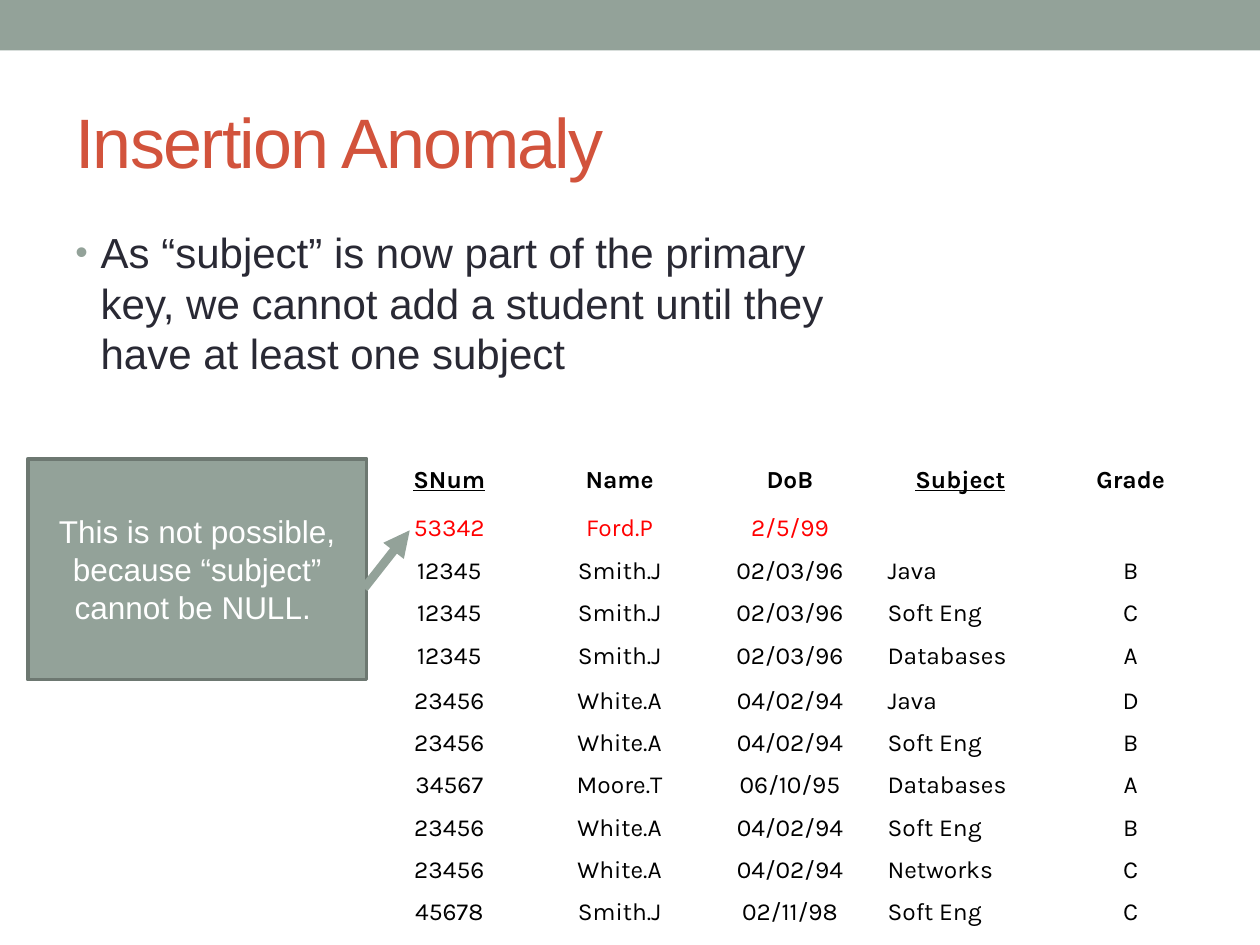
from dataclasses import dataclass

from lxml.etree import SubElement
from pptx import Presentation
from pptx.dml.color import RGBColor
from pptx.enum.shapes import MSO_CONNECTOR as Connector, MSO_SHAPE as Shape
from pptx.enum.text import MSO_ANCHOR as Anchor, PP_ALIGN as Align
from pptx.oxml.ns import qn
from pptx.util import Cm, Pt


@dataclass(frozen=True)
class Theme:
    sage: str = "93A299"
    sage_dark: str = "6D7871"
    title: str = "D2533C"
    body: str = "292934"
    cell: str = "000000"
    alert: str = "FF0000"
    white: str = "FFFFFF"
    text_font: str = "Arial"
    table_font: str = "Karla"
    title_size: float = 40
    body_size: float = 24
    note_size: float = 18
    cell_size: float = 14


THEME = Theme()

HEADERS = ["SNum", "Name", "DoB", "Subject", "Grade"]
KEYS = {"SNum", "Subject"}
REJECTED = ["53342", "Ford.P", "2/5/99", "", ""]
STUDENTS = [
    ["12345", "Smith.J", "02/03/96", "Java", "B"],
    ["12345", "Smith.J", "02/03/96", "Soft Eng", "C"],
    ["12345", "Smith.J", "02/03/96", "Databases", "A"],
    ["23456", "White.A", "04/02/94", "Java", "D"],
    ["23456", "White.A", "04/02/94", "Soft Eng", "B"],
    ["34567", "Moore.T", "06/10/95", "Databases", "A"],
    ["23456", "White.A", "04/02/94", "Soft Eng", "B"],
    ["23456", "White.A", "04/02/94", "Networks", "C"],
    ["45678", "Smith.J", "02/11/98", "Soft Eng", "C"],
]
ROW_HEIGHT = 0.84
TALL_ROWS = {0: 0.97, 1: 0.87, 4: 0.92, 10: 0.87}


def color(code):
    return RGBColor.from_string(code)


def add_span(para, text, size, code, font=THEME.text_font, bold=False, underline=False):
    span = para.add_run()
    span.text = text
    span.font.name = font
    span.font.size = Pt(size)
    span.font.color.rgb = color(code)
    span.font.bold = bold
    span.font.underline = underline
    return span


def add_text_box(page, left, top, width, height, anchor):
    box = page.shapes.add_textbox(Cm(left), Cm(top), Cm(width), Cm(height))
    box.text_frame.word_wrap = True
    box.text_frame.vertical_anchor = anchor
    return box.text_frame.paragraphs[0]


def add_panel(page, left, top, width, height, outline=None):
    panel = page.shapes.add_shape(Shape.RECTANGLE, Cm(left), Cm(top), Cm(width), Cm(height))
    panel.shadow.inherit = False
    panel.fill.solid()
    panel.fill.fore_color.rgb = color(THEME.sage)
    if outline:
        panel.line.color.rgb = color(outline)
        panel.line.width = Pt(2.08)
    else:
        panel.line.fill.background()
    return panel


def add_title(page, text):
    para = add_text_box(page, 1.27, 1.47, 22.86, 2.74, Anchor.MIDDLE)
    span = add_span(para, text, THEME.title_size, THEME.title)
    span.font._element.set("spc", "-100")


def add_bullet(page, text):
    para = add_text_box(page, 1.27, 4.45, 16.61, 13.54, Anchor.TOP)
    para.space_before = Pt(4.8)
    props = para._p.get_or_add_pPr()
    props.set("marL", str(Cm(0.51)))
    props.set("indent", str(-Cm(0.51)))
    bullet_color = SubElement(props, qn("a:buClr"))
    SubElement(bullet_color, qn("a:srgbClr"), val=THEME.sage)
    SubElement(props, qn("a:buSzPct"), val="85000")
    SubElement(props, qn("a:buFont"), typeface=THEME.text_font)
    SubElement(props, qn("a:buChar"), char="•")
    add_span(para, text, THEME.body_size, THEME.body)


def fill_cell(cell, text, code, align, header):
    cell.fill.background()
    cell.margin_left = cell.margin_right = Cm(0.25)
    cell.margin_top, cell.margin_bottom = Cm(0.15), Cm(0.13)
    para = cell.text_frame.paragraphs[0]
    para.alignment = align
    para.line_spacing = 0.96
    para.space_before = Pt(8.8)
    if text:
        add_span(para, text, THEME.cell_size, code, THEME.table_font,
                 bold=header, underline=header and text in KEYS)
    else:
        SubElement(para._p, qn("a:endParaRPr"), sz=str(int(THEME.cell_size * 100)))


def add_student_table(page):
    rows = [HEADERS, REJECTED, *STUDENTS]
    heights = [TALL_ROWS.get(index, ROW_HEIGHT) for index in range(len(rows))]
    frame = page.shapes.add_table(len(rows), len(HEADERS), Cm(7.34), Cm(9.25),
                                  Cm(17.17), Cm(sum(heights)))
    table = frame.table
    table.first_row = table.horz_banding = False
    for column in table.columns:
        column.width = Cm(17.17 / len(HEADERS))
    for row_index, values in enumerate(rows):
        table.rows[row_index].height = Cm(heights[row_index])
        code = THEME.alert if values is REJECTED else THEME.cell
        for column_index, text in enumerate(values):
            is_subject = HEADERS[column_index] == "Subject" and row_index > 0
            align = Align.LEFT if is_subject else Align.CENTER
            fill_cell(table.cell(row_index, column_index), text, code, align, row_index == 0)


def add_callout(page, text):
    panel = add_panel(page, 0.56, 9.25, 6.83, 4.45, THEME.sage_dark)
    panel.text_frame.word_wrap = True
    panel.text_frame.vertical_anchor = Anchor.MIDDLE
    para = panel.text_frame.paragraphs[0]
    para.alignment = Align.CENTER
    add_span(para, text, THEME.note_size, THEME.white)


def add_arrow(page, start, end):
    arrow = page.shapes.add_connector(Connector.STRAIGHT, *map(Cm, start + end))
    arrow.line.color.rgb = color(THEME.sage)
    arrow.line.width = Pt(5)
    SubElement(arrow.line._get_or_add_ln(), qn("a:tailEnd"), type="triangle")
    SubElement(arrow._element.spPr, qn("a:effectLst"))


def main():
    deck = Presentation()
    deck.slide_width, deck.slide_height = Cm(25.4), Cm(19.05)
    page = deck.slides.add_slide(deck.slide_layouts[6])
    add_panel(page, 0, 0, 25.4, 1.02)
    add_title(page, "Insertion Anomaly")
    add_bullet(page, "As “subject” is now part of the primary key, we cannot add "
                     "a student until they have at least one subject")
    add_student_table(page)
    add_callout(page, "This is not possible, because “subject” cannot be NULL. ")
    add_arrow(page, (7.34, 11.86), (8.26, 10.69))
    deck.save("out.pptx")


main()
